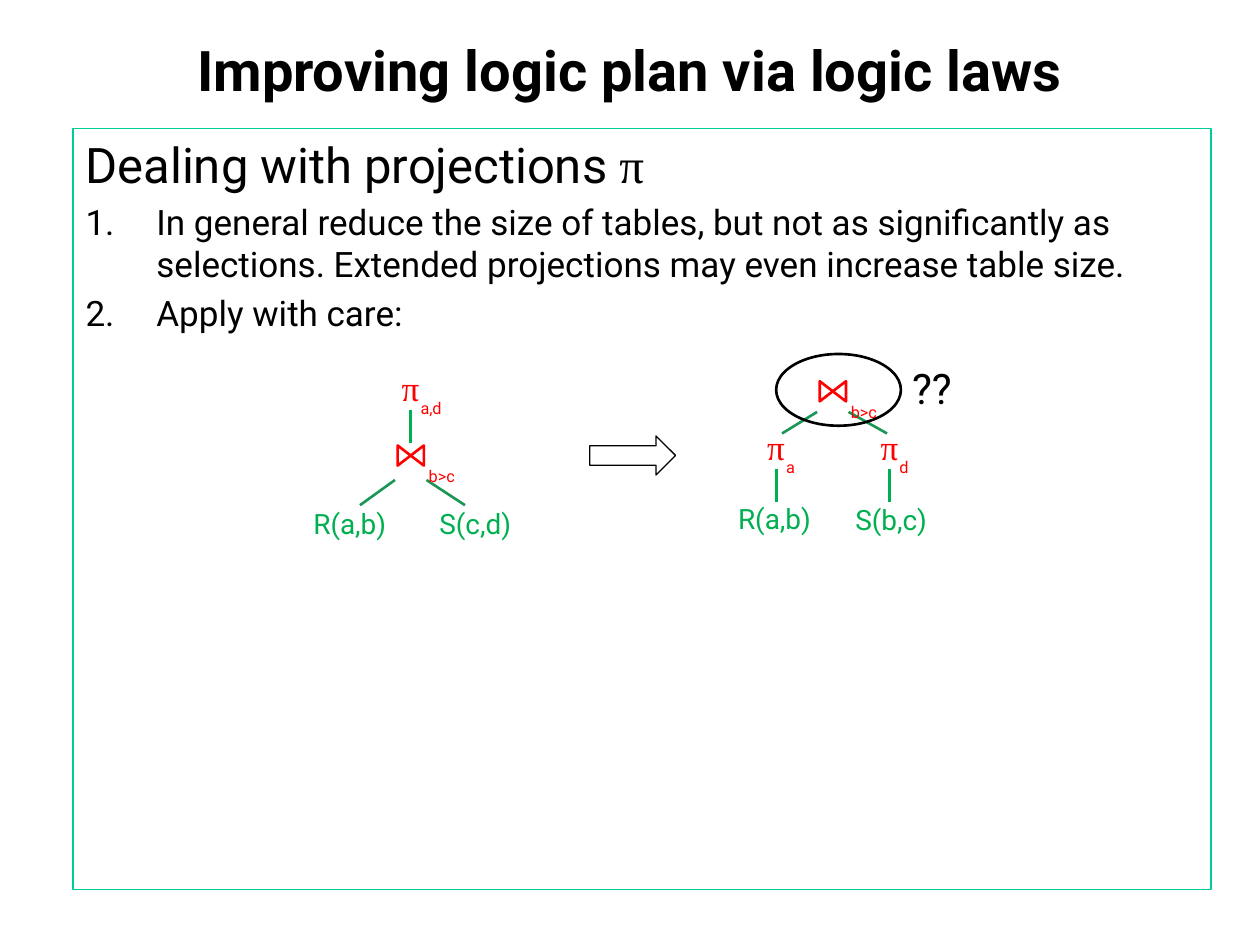
from lxml import etree
from pptx import Presentation
from pptx.dml.color import RGBColor
from pptx.enum import shapes as kinds, text as txt
from pptx.oxml import ns
from pptx.util import Pt

RED, GREEN, DARK = "FF0000", "00B050", "1A9655"
BLACK, WHITE, TEAL = "000000", "FFFFFF", "00CC99"
SANS, SERIF = "Roboto", "Times New Roman"
SHAPE = kinds.MSO_SHAPE
MID = txt.MSO_ANCHOR.MIDDLE


def hue(code):
    return RGBColor.from_string(code)


def style(para, size, color=BLACK, name=SANS, bold=False):
    font = para.font
    font.size, font.name, font.bold = Pt(size), name, bold
    font.color.rgb = hue(color)


def label(parts, words, box, size, color, name=SANS, low=False):
    item = parts.add_textbox(*map(Pt, box))
    frame = item.text_frame
    frame.word_wrap = False
    para = frame.paragraphs[0]
    run = para.add_run()
    run.text = words
    style(para, size, color, name)
    if low:
        run._r.get_or_add_rPr().set("baseline", "-25000")
    return item


def leaf(parts, words, box):
    item = label(parts, words, box, 16, GREEN)
    item.fill.solid()
    item.fill.fore_color.rgb = hue(WHITE)
    frame = item.text_frame
    frame.vertical_anchor = MID
    frame.margin_top = frame.margin_bottom = frame.margin_right = 0


def shape(parts, kind, box, line, width, fill=None):
    item = parts.add_shape(kind, *map(Pt, box))
    item.shadow.inherit = False
    if fill:
        item.fill.solid()
        item.fill.fore_color.rgb = hue(fill)
    else:
        item.fill.background()
    item.line.color.rgb = hue(line)
    item.line.width = Pt(width)
    return item


def edge(parts, start, end, color):
    line = parts.add_connector(kinds.MSO_CONNECTOR.STRAIGHT, *map(Pt, start + end))
    line.line.color.rgb = hue(color)
    line.line.width = Pt(1.5)
    etree.SubElement(line._element.spPr, ns.qn("a:effectLst"))


def title(parts, box):
    frame = parts.add_textbox(*map(Pt, box)).text_frame
    frame.word_wrap = True
    frame.vertical_anchor = MID
    para = frame.paragraphs[0]
    para.text = "Improving logic plan via logic laws"
    para.alignment = txt.PP_ALIGN.CENTER
    style(para, 32, bold=True)


def body(parts, box):
    frame = shape(parts, SHAPE.RECTANGLE, box, TEAL, 1).text_frame
    frame.word_wrap = True
    frame.vertical_anchor = txt.MSO_ANCHOR.TOP
    head = frame.paragraphs[0]
    head.alignment = txt.PP_ALIGN.LEFT
    style(head, 28)
    head.add_run().text = "Dealing with projections "
    sign = head.add_run()
    sign.text = "π"
    sign.font.name = SERIF
    for words in (
        "In general reduce the size of tables, but not as significantly as "
        "selections. Extended projections may even increase table size.",
        "Apply with care:",
    ):
        para = frame.add_paragraph()
        para.text = words
        para.alignment = txt.PP_ALIGN.LEFT
        para.space_before = Pt(4)
        props = para._p.get_or_add_pPr()
        props.set("marL", str(Pt(40.5)))
        props.set("indent", str(Pt(-40.5)))
        etree.SubElement(props, ns.qn("a:buAutoNum"), type="arabicPeriod")
        style(para, 20)


def project(parts, x, y, sub, width):
    group = parts.add_group_shape().shapes
    label(group, "π", (x, y, 29.5, 31.7), 20, RED, SERIF)
    label(group, sub, (x + 10.8, y + 7.2, width, 20.2), 16, RED, low=True)
    edge(parts, (x + 12.3, y + 28), (x + 12.3, y + 47), GREEN)


def join(parts, x, y, top, low):
    edge(parts, (x + 9, y + top), (x + 31, y + low), DARK)
    edge(parts, (x - 9, y + top), (x - 29, y + low), DARK)
    bow = shape(parts, SHAPE.FLOWCHART_COLLATE, (x - 5.75, y - 7.5, 11.5, 15), RED, 1.5, WHITE)
    bow.rotation = 270
    label(parts, "b>c", (x + 3.25, y - 8, 33.1, 20.2), 16, RED, low=True)


def leaves(parts, x, y, gap, right):
    leaf(parts, "R(a,b)", (x, y, 55.4, 17.3))
    leaf(parts, right, (x + gap, y, 50.4, 18))


def before(parts, x, y):
    leaves(parts, x, y + 84.2, 72, "S(c,d)")
    project(parts, x + 50.4, y, "a,d", 29.5)
    join(parts, x + 62.7, y + 54.3, 14, 28.4)


def after(parts, x, y):
    join(parts, x + 61.2, y + 21.3, 11.8, 24.1)
    for shift, sub in ((16.6, "a"), (81.4, "d")):
        project(parts, x + shift, y + 37.5, sub, 20.2)
    leaves(parts, x, y + 85.3, 67, "S(b,c)")
    shape(parts, SHAPE.OVAL, (x + 28.8, y, 71.3, 41), BLACK, 1.5)
    label(parts, "??", (x + 99.4, y + 1.5, 37.4, 36), 24, BLACK)


def main():
    deck = Presentation()
    deck.slide_width, deck.slide_height = Pt(720), Pt(540)
    parts = deck.slides.add_slide(deck.slide_layouts[6]).shapes
    title(parts, (54, 19, 612, 41))
    body(parts, (41.8, 73.4, 650.2, 434.9))
    before(parts, 172, 206)
    shape(parts, SHAPE.RIGHT_ARROW, (337, 249.1, 49, 22.3), BLACK, 0.75, WHITE)
    after(parts, 414.7, 202.3)
    deck.save("out.pptx")


if __name__ == "__main__":
    main()
